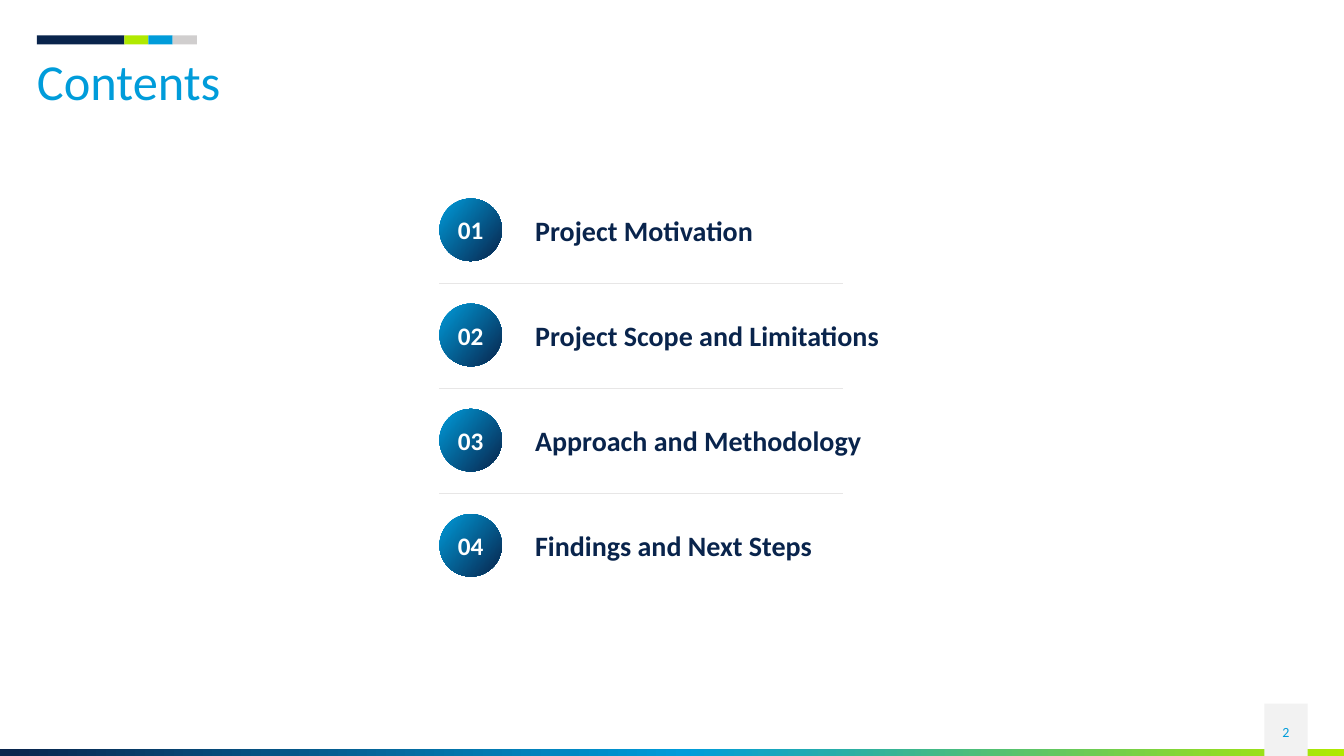
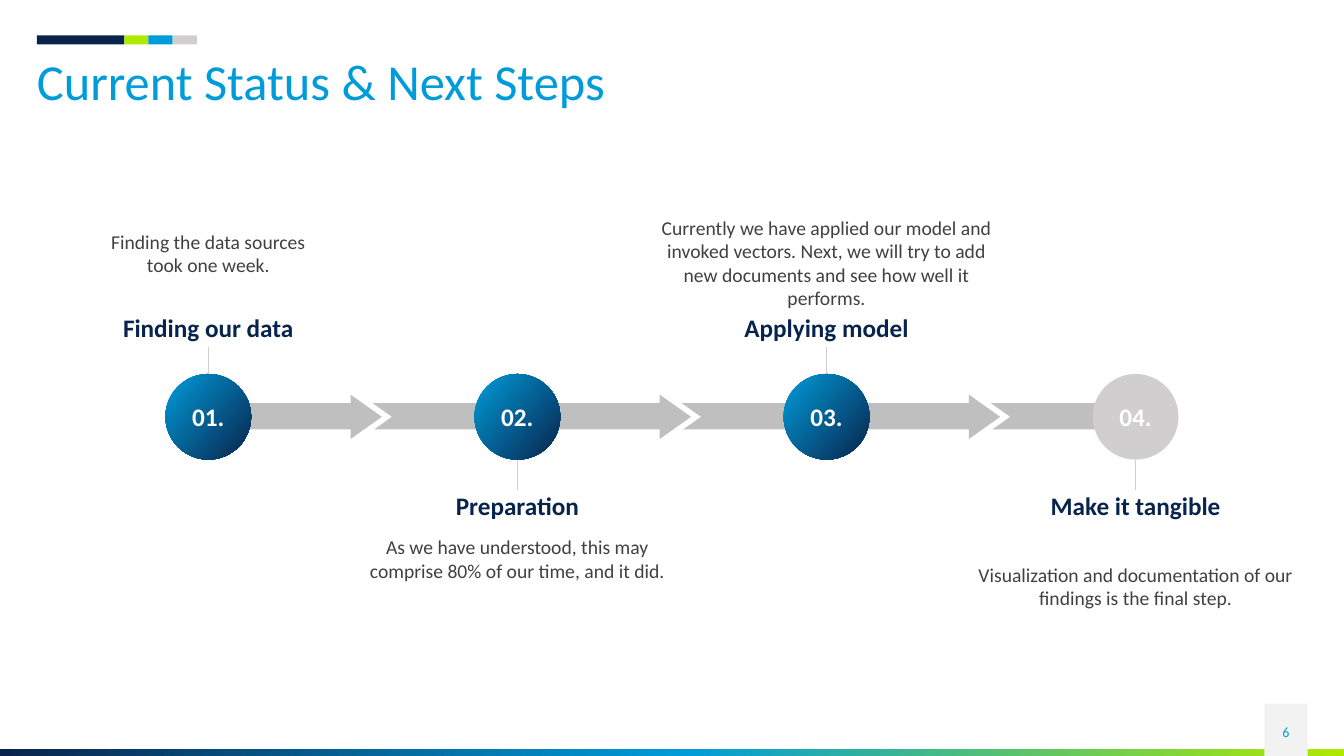
import copy

import pptx
import pptx.dml.color
import pptx.enum.shapes
import pptx.enum.text
import pptx.oxml
import pptx.oxml.ns
import pptx.util

SHAPE = pptx.enum.shapes.MSO_SHAPE
ALIGN = pptx.enum.text.PP_ALIGN
ANCHOR = pptx.enum.text.MSO_ANCHOR
qn = pptx.oxml.ns.qn

WIDTH = pptx.util.Inches(13.33)
HEIGHT = pptx.util.Inches(7.5)
COLUMN = WIDTH / 100
ROW = HEIGHT / 100

COLORS = {
    "navy": "09244C",
    "blue": "009CDA",
    "lime": "B0E900",
    "silver": "D0CECE",
    "rule": "E7E6E6",
    "track": "BFBFBF",
    "page": "F2F2F2",
    "body": "404040",
    "white": "FFFFFF",
}

TIGHT = (0, 0, 0, 0)
CAPTION = (0, 0, 0, 0.04)
PADDED = (0.1, 0.05, 0.1, 0.05)

STYLES = {
    "title": dict(size=36, bold=False, color="blue", align=ALIGN.LEFT,
                  anchor=ANCHOR.MIDDLE, insets=TIGHT, spacing=0.9),
    "number": dict(size=18, bold=True, color="white", align=ALIGN.CENTER,
                   anchor=ANCHOR.MIDDLE, insets=TIGHT),
    "topic": dict(size=20, bold=True, color="navy", align=ALIGN.LEFT,
                  anchor=ANCHOR.TOP, insets=PADDED),
    "heading": dict(size=18, bold=True, color="navy", align=ALIGN.CENTER,
                    anchor=ANCHOR.TOP, insets=CAPTION),
    "note": dict(size=14, bold=False, color="body", align=ALIGN.CENTER,
                 anchor=ANCHOR.TOP, insets=CAPTION),
    "page": dict(size=10, bold=False, color="blue", align=ALIGN.CENTER,
                 anchor=ANCHOR.MIDDLE, insets=PADDED),
}

DISC_FILL = [(0, "blue"), (1, "navy")]
BAND_FILL = [(0, "navy"), (0.51, "blue"), (1, "lime")]

TOPICS = ["Project Motivation", "Project Scope and Limitations",
          "Approach and Methodology", "Findings and Next Steps"]

STEPS = [
    dict(heading="Finding our data", above=True, top=30.4, height=6.8,
         note=["Finding the data sources", "took one week."]),
    dict(heading="Preparation", above=False, top=70.8, height=6.8,
         note=["As we have understood, this may comprise 80% of our time, "
               "and it did."]),
    dict(heading="Applying model", above=True, top=28.53, height=13.07,
         note=["Currently we have applied our model and invoked vectors. Next, "
               "we will try to add new documents and see how well it performs."]),
    dict(heading="Make it tangible", above=False, top=74.4, height=6.8,
         note=["Visualization and documentation of our findings is the final "
               "step."]),
]


def rgb(name):
    return pptx.dml.color.RGBColor.from_string(COLORS[name])


def grid(left, top, width, height):
    return (round(left * COLUMN), round(top * ROW),
            round(width * COLUMN), round(height * ROW))


def set_all(target, values):
    for name, value in values.items():
        setattr(target, name, value)


def write(box, paragraphs, style_name):
    style = STYLES[style_name]
    frame = box.text_frame
    left, top, right, bottom = map(pptx.util.Inches, style["insets"])
    set_all(frame, dict(
        text="\n".join(paragraphs), word_wrap=True,
        auto_size=pptx.enum.text.MSO_AUTO_SIZE.NONE,
        vertical_anchor=style["anchor"], margin_left=left, margin_top=top,
        margin_right=right, margin_bottom=bottom))
    for para in frame.paragraphs:
        set_all(para, dict(alignment=style["align"],
                           line_spacing=style.get("spacing", 1.0)))
        for span in para.runs:
            set_all(span.font, dict(name="Calibri", bold=style["bold"],
                                    size=pptx.util.Pt(style["size"])))
            span.font.color.rgb = rgb(style["color"])


def add_text(page, place, paragraphs, style_name):
    write(page.shapes.add_textbox(*grid(*place)), paragraphs, style_name)


def fill_gradient(shape, stops, angle):
    shape.fill.gradient()
    shape.fill.gradient_angle = angle
    stop_list = shape.element.find(".//" + qn("a:gsLst"))
    for _ in stops[2:]:
        stop_list.append(copy.deepcopy(stop_list[-1]))
    for stop, (position, color) in zip(shape.fill.gradient_stops, stops):
        stop.position = position
        stop.color.rgb = rgb(color)


def add_shape(page, kind, place, fill, angle=0, rotation=0):
    shape = page.shapes.add_shape(kind, *grid(*place))
    set_all(shape, dict(rotation=rotation))
    shape.shadow.inherit = False
    shape.line.fill.background()
    if isinstance(fill, list):
        fill_gradient(shape, fill, angle)
    else:
        shape.fill.solid()
        shape.fill.fore_color.rgb = rgb(fill)
    return shape


def add_disc(page, place, label, fill=DISC_FILL):
    disc = add_shape(page, SHAPE.OVAL, place, fill, angle=320)
    write(disc, [label], "number")


def add_rule(page, left, top, width, height, color):
    x, y, across, down = grid(left, top, width, height)
    rule = page.shapes.add_connector(
        pptx.enum.shapes.MSO_CONNECTOR.STRAIGHT, x, y, x + across, y + down)
    rule.line.color.rgb = rgb(color)
    rule.line.width = pptx.util.Pt(0.5)
    rule.element.spPr.append(pptx.oxml.parse_xml(
        "<a:effectLst %s/>" % pptx.oxml.ns.nsdecls("a")))


def add_frame(layout, page):
    parts = [
        add_shape(page, SHAPE.RECTANGLE, (0, 99.07, 100, 0.93), BAND_FILL),
        add_shape(page, SHAPE.RECTANGLE, (94.07, 93.07, 3.23, 6.93), "page"),
    ]
    left = 2.75
    for width, color in [(6.5, "navy"), (1.8, "lime"), (1.8, "blue"),
                         (1.8, "silver")]:
        parts.append(add_shape(page, SHAPE.RECTANGLE,
                               (left, 4.67, width, 1.2), color))
        left += width
    for number, part in enumerate(parts, 100):
        part.element.nvSpPr.cNvPr.set("id", str(number))
        layout.shapes.element.append(part.element)


def add_page(deck, title, number):
    page = deck.slides.add_slide(deck.slide_layouts[5])
    box = page.shapes.title
    names = ("left", "top", "width", "height")
    set_all(box, dict(zip(names, grid(2.75, 7.47, 94.5, 7.33))))
    write(box, [title], "title")
    add_text(page, (94.07, 94.13, 3.23, 5.33), [number], "page")
    return page


def add_topics(page):
    left, first_top, pitch = 32.7, 26.27, 13.91
    for index, topic in enumerate(TOPICS):
        top = first_top + index * pitch
        add_disc(page, (left, top, 4.65, 8.27), f"{index + 1:02}")
        add_text(page, (39.08, top + 1.26, 34, 5.87), [topic], "topic")
        if index:
            add_rule(page, left, top - 2.75, 30, 0, "rule")


def add_track(page, pitch):
    add_shape(page, SHAPE.RECTANGLE, (12.98, 53.33, 74.04, 3.47), "track")
    for left, color in [(26.33, "white"), (25.6, "track")]:
        for index in range(len(STEPS) - 1):
            add_shape(page, SHAPE.ISOSCELES_TRIANGLE,
                      (left + index * pitch, 53.07, 3.3, 4.13), color,
                      rotation=90)


def add_steps(page):
    pitch, disc_top, disc_width, disc_height = 23, 49.47, 6.38, 11.33
    heading_height, heading_width, note_width = 4.53, 15.4, 24.75
    add_track(page, pitch)
    for index, step in enumerate(STEPS):
        center = 15.5 + index * pitch
        is_last = index == len(STEPS) - 1
        add_disc(page, (center - disc_width / 2, disc_top, disc_width,
                        disc_height), f"{index + 1:02}.",
                 "silver" if is_last else DISC_FILL)
        heading_top = 41.33 if step["above"] else 64.8
        add_text(page, (center - heading_width / 2, heading_top, heading_width,
                        heading_height), [step["heading"]], "heading")
        add_text(page, (center - note_width / 2, step["top"], note_width,
                        step["height"]), step["note"], "note")
        if step["above"]:
            start, end = heading_top + heading_height, disc_top
        else:
            start, end = disc_top + disc_height, heading_top
        add_rule(page, center, start, 0, end - start, "silver")


def main():
    deck = pptx.Presentation()
    set_all(deck, dict(slide_width=WIDTH, slide_height=HEIGHT))
    contents = add_page(deck, "Contents", "2")
    add_frame(deck.slide_layouts[5], contents)
    add_topics(contents)
    add_steps(add_page(deck, "Current Status & Next Steps", "6"))
    deck.save("out.pptx")


if __name__ == "__main__":
    main()
